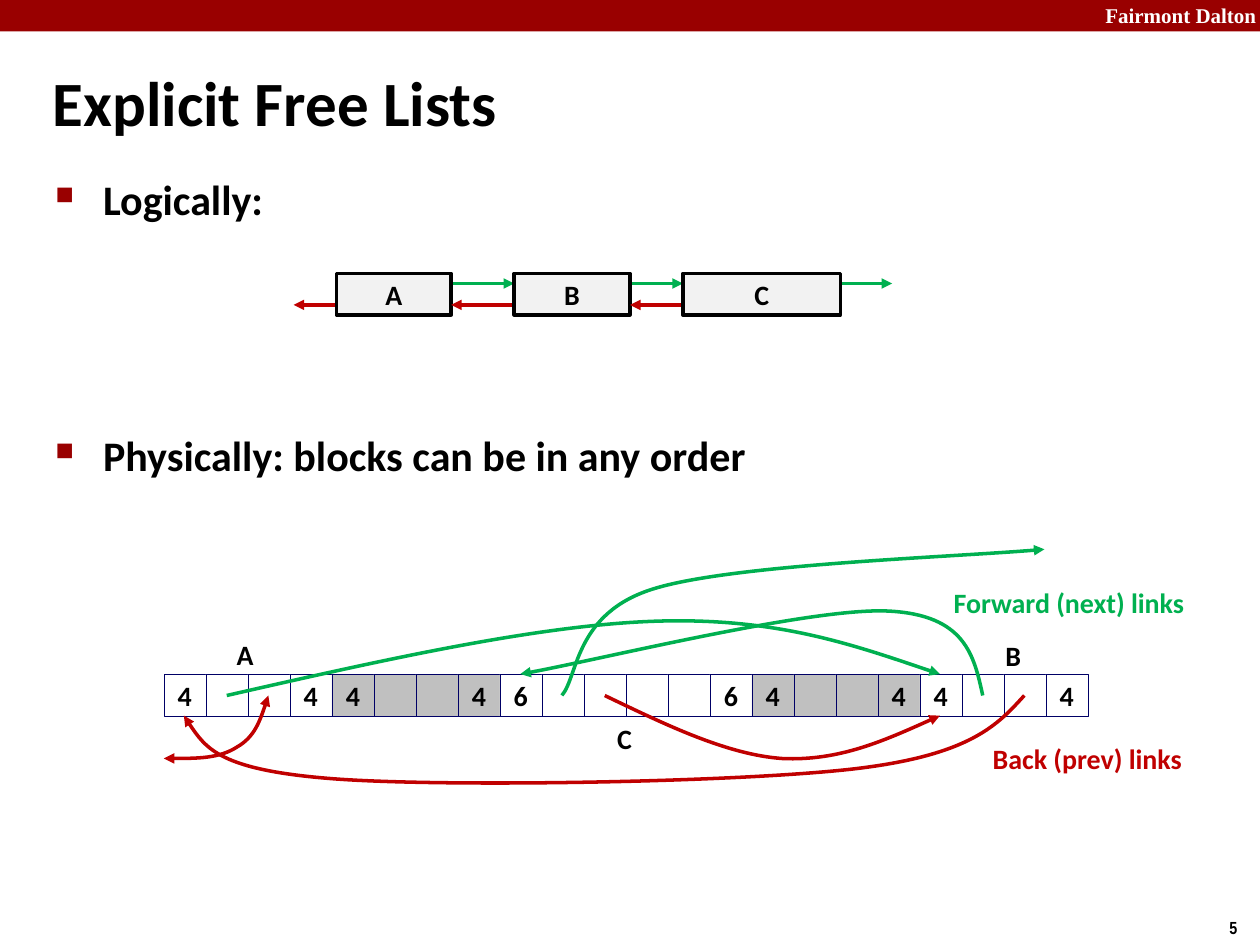
from lxml import etree
from pptx import Presentation
from pptx.dml.color import RGBColor
from pptx.enum.shapes import MSO_CONNECTOR, MSO_SHAPE
from pptx.enum.text import MSO_ANCHOR, MSO_AUTO_SIZE, PP_ALIGN
from pptx.oxml.ns import qn
from pptx.util import Inches, Pt

RECT, LINE = MSO_SHAPE.RECTANGLE, MSO_CONNECTOR.STRAIGHT
LEFT, MID, RIGHT = PP_ALIGN.LEFT, PP_ALIGN.CENTER, PP_ALIGN.RIGHT
CENTER, TOP = MSO_ANCHOR.MIDDLE, MSO_ANCHOR.TOP
FIT, FIXED = MSO_AUTO_SIZE.SHAPE_TO_FIT_TEXT, MSO_AUTO_SIZE.NONE
HEX = {"bar": "990000", "next": "00B050", "prev": "C00000", "box": "F2F2F2",
       "free": "FFFFFF", "used": "C0C0C0", "edge": "000066",
       "ink": "000000", "white": "FFFFFF"}
CELL = 1 / 3
BLOCKS = [(4, "free"), (4, "used"), (6, "free"), (4, "used"), (4, "free")]
LINKS = [
    ("next", False, [(.5, .17), (1.73, -.11), (2.97, -.39), (3.91, -.42),
                     (4.86, -.45), (5.51, -.22), (6.16, 0)]),
    ("next", False, [(6.5, .17), (6.43, -.15), (6.36, -.47), (5.75, -.5),
                     (5.14, -.53), (3.32, -.08), (2.83, 0)]),
    ("prev", False, [(6.83, .17), (6.62, .4), (6.41, .64), (5.5, .75),
                     (4.58, .86), (2.22, .9), (1.33, .83), (.44, .76),
                     (.3, .55), (.16, .33)]),
    ("prev", False, [(3.5, .17), (3.98, .4), (4.47, .64), (4.91, .67),
                     (5.36, .69), (5.76, .51), (6.16, .33)]),
    ("next", False, [(3.16, .17), (3.29, .02), (3.26, -.49), (3.9, -.68),
                     (4.53, -.87), (6.34, -.93), (6.99, -.99)]),
    ("prev", True, [(.83, .17), (.78, .33), (.72, .5), (.58, .58),
                    (.44, .67), (.22, .67), (0, .67)]),
]
LABELS = [("Forward (next) links", "next", 6.17, -.75, 2.05),
          ("Back (prev) links", "prev", 6.48, .49, 1.72),
          ("A", "ink", .48, -.34, .34), ("B", "ink", 6.58, -.33, .32),
          ("C", "ink", 3.5, .33, .32)]


def rgb(key):
    """Return the named colour."""
    return RGBColor.from_string(HEX[key])


def write(para, text, size=16, color="ink", face="Calibri", align=LEFT):
    """Put bold text in a paragraph."""
    para.alignment = align
    run = para.add_run()
    run.text = text
    form = {"size": Pt(size), "bold": True, "name": face}
    for key, val in form.items():
        setattr(run.font, key, val)
    run.font.color.rgb = rgb(color)


def setup(frame, **form):
    """Apply format values to a text frame."""
    for key, val in form.items():
        setattr(frame, key, val)


def label(slide, text, x, y, w, h, **form):
    """Add a one-line text box."""
    box = slide.shapes.add_textbox(Inches(x), Inches(y), Inches(w), Inches(h))
    setup(box.text_frame, word_wrap=False, auto_size=FIT)
    write(box.text_frame.paragraphs[0], text, **form)


def block(slide, x, y, w, h, fill, edge=None, width=2, text=""):
    """Add a filled rectangle with optional text."""
    box = slide.shapes.add_shape(RECT, Inches(x), Inches(y), Inches(w), Inches(h))
    box.shadow.inherit = False
    box.fill.solid()
    box.fill.fore_color.rgb = rgb(fill)
    if edge:
        box.line.color.rgb = rgb(edge)
        box.line.width = Pt(width)
    else:
        box.line.fill.background()
    if text:
        setup(box.text_frame, word_wrap=False, vertical_anchor=CENTER)
        write(box.text_frame.paragraphs[0], text, align=MID)


def style(link, color, both=False):
    """Colour a link and give it arrowheads."""
    link.line.color.rgb = rgb(color)
    link.line.width = Pt(2)
    line = link.line._get_or_add_ln()
    for end in ("a:headEnd", "a:tailEnd") if both else ("a:tailEnd",):
        etree.SubElement(line, qn(end), type="triangle")


def arrow(slide, x, end, y, color):
    """Add a level arrow."""
    link = slide.shapes.add_connector(LINE, Inches(x), Inches(y), Inches(end), Inches(y))
    style(link, color)
    etree.SubElement(link._element.spPr, qn("a:effectLst"))


def curve(slide, x, y, color, both, points):
    """Add a curved link through cubic control points."""
    spots = [(Inches(x + dx), Inches(y + dy)) for dx, dy in points]
    pen = slide.shapes.build_freeform(*spots[0])
    pen.add_line_segments(spots[1:], close=False)
    link = pen.convert_to_shape()
    link.shadow.inherit = False
    link.fill.background()
    style(link, color, both)
    steps = list(link._element.iter(qn("a:lnTo")))
    for i in range(0, len(steps), 3):
        bend = etree.Element(qn("a:cubicBezTo"))
        steps[i].addprevious(bend)
        for step in steps[i:i + 3]:
            bend.append(step[0])
            step.getparent().remove(step)


def header(slide, x, y, w):
    """Draw the top bar with its name."""
    block(slide, x, y, w, .25, "bar")
    label(slide, "Fairmont Dalton", x + w - 1.36, y - .03, 1.43, .3,
          size=12, color="white", face="Times New Roman", align=RIGHT)


def heading(slide, x, y, w, h):
    """Place and format the title."""
    title = slide.shapes.title
    place = {"left": x, "top": y, "width": w, "height": h}
    for key, val in place.items():
        setattr(title, key, Inches(val))
    setup(title.text_frame, vertical_anchor=CENTER, auto_size=FIXED, word_wrap=True)
    para = title.text_frame.paragraphs[0]
    para.line_spacing = .87
    write(para, "Explicit Free Lists", size=36)


def points(slide, x, y, w, h):
    """Write the two bulleted points."""
    box = slide.shapes.add_textbox(Inches(x), Inches(y), Inches(w), Inches(h))
    frame = box.text_frame
    setup(frame, word_wrap=True, vertical_anchor=TOP)
    items = [("Logically:", 0), ("Physically: blocks can be in any order", 121.5)]
    for i, (text, gap) in enumerate(items):
        para = frame.add_paragraph() if i else frame.paragraphs[0]
        para.line_spacing = .85
        para.space_before = Pt(gap)
        write(para, text, size=24)
        props = para._p.get_or_add_pPr()
        props.set("marL", str(Inches(.38)))
        props.set("indent", str(-Inches(.38)))
        tint = etree.SubElement(props, qn("a:buClr"))
        etree.SubElement(tint, qn("a:srgbClr"), val=HEX["bar"])
        etree.SubElement(props, qn("a:buSzPct"), val="60000")
        etree.SubElement(props, qn("a:buChar"), char="■")


def logic(slide, x, y):
    """Draw the doubly linked list."""
    lefts, rights = [.34, 1.75, 3.09], [1.25, 2.67, 4.34]
    rows = zip("ABC", lefts, rights, lefts[1:] + [4.75], [0] + rights[:-1])
    for name, near, far, after, prior in rows:
        arrow(slide, x + far, x + after, y + .08, "next")
        arrow(slide, x + near, x + prior, y + .25, "prev")
        block(slide, x + near, y, far - near, .33, "box", "ink", 2, name)


def memory(slide, x, y):
    """Draw the memory row with its links and labels."""
    spot = 0
    for size, kind in BLOCKS:
        for i in range(size):
            text = str(size) if i in (0, size - 1) else ""
            block(slide, x + spot * CELL, y, CELL, CELL, kind, "edge", .25, text)
            spot += 1
    for link in LINKS:
        curve(slide, x, y, *link)
    for text, color, dx, dy, w in LABELS:
        label(slide, text, x + dx, y + dy, w, .37, color=color)


def main():
    """Build and save the slide."""
    deck = Presentation()
    deck.slide_width, deck.slide_height = Inches(10), Inches(7.5)
    slide = deck.slides.add_slide(deck.slide_layouts[5])
    header(slide, 0, 0, 10)
    heading(slide, .32, .53, 6.64, .63)
    points(slide, .34, 1.39, 9.09, 2.66)
    logic(slide, 2.33, 2.17)
    memory(slide, 1.3, 5.35)
    label(slide, "5", 9.66, 7.23, .34, .27, size=10, face="Arial Narrow")
    deck.save("out.pptx")


main()
